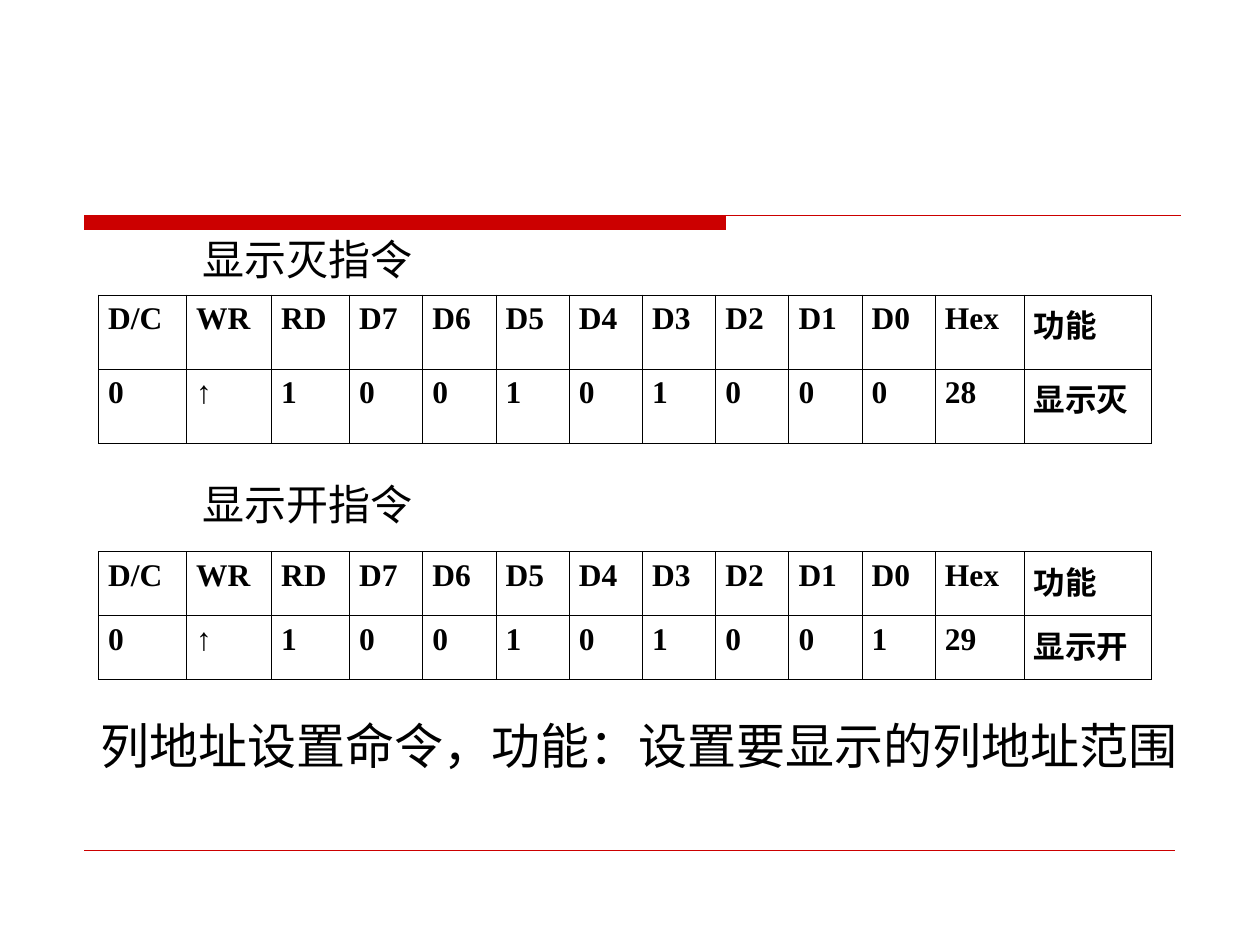
from lxml.etree import SubElement
from pptx import Presentation
from pptx.dml.color import RGBColor
from pptx.enum.shapes import MSO_CONNECTOR as CONNECTOR
from pptx.enum.text import PP_ALIGN as ALIGN
from pptx.oxml.ns import qn
from pptx.util import Pt

COLORS = {"accent": "CC0000", "ink": "000000"}
CJK, LATIN, SERIF = "Noto Sans CJK SC", "Arial", "Times New Roman"

FIELDS = ["D/C", "WR", "RD", *(f"D{bit}" for bit in range(7, -1, -1)), "Hex", "功能"]
FIELD_WIDTHS = [50.3, 48.6, 44.6, *[41.85] * 8, 50.9, 72.6]


def color(name):
    return RGBColor.from_string(COLORS[name])


def add_words(paragraph, words, size, font, bold=False):
    run = paragraph.add_run()
    run.text = words
    run.font.size = Pt(size)
    run.font.name = font
    run.font.bold = bold
    run.font.color.rgb = color("ink")
    SubElement(run.font._element, qn("a:ea"), typeface=CJK)


def add_rule(slide, left, top, width, weight):
    rule = slide.shapes.add_connector(
        CONNECTOR.STRAIGHT, Pt(left), Pt(top), Pt(left + width), Pt(top))
    rule.line.color.rgb = color("accent")
    rule.line.width = Pt(weight)
    SubElement(rule._element.spPr, qn("a:effectLst"))


def add_header_band(slide, left, top, width, height):
    bar_width = 0.585 * width
    outline = slide.shapes.build_freeform(Pt(left), Pt(top))
    outline.add_line_segments([
        (Pt(left + bar_width), Pt(top)),
        (Pt(left + bar_width), Pt(top + height)),
        (Pt(left), Pt(top + height)),
    ])
    bar = outline.convert_to_shape()
    bar.shadow.inherit = False
    bar.fill.solid()
    bar.fill.fore_color.rgb = color("accent")
    bar.line.fill.background()
    add_rule(slide, left, top, width, 0.75)


def add_sentence(slide, box, words, size, font, align=None, indent=0, before=0):
    frame = slide.shapes.add_textbox(*map(Pt, box)).text_frame
    frame.word_wrap = True
    line = frame.paragraphs[0]
    line.alignment = align
    line.space_before = Pt(before)
    line._p.get_or_add_pPr().set("indent", str(Pt(indent)))
    add_words(line, words, size, font)


def add_borders(cell):
    properties = cell._tc.get_or_add_tcPr()
    for side in ("lnL", "lnR", "lnT", "lnB"):
        border = SubElement(properties, qn(f"a:{side}"), w=str(Pt(0.45)))
        fill = SubElement(border, qn("a:solidFill"))
        SubElement(fill, qn("a:srgbClr"), val=COLORS["ink"])


def add_command_table(slide, left, top, height, values):
    rows = [FIELDS, values]
    table = slide.shapes.add_table(
        len(rows), len(FIELDS), Pt(left), Pt(top), Pt(sum(FIELD_WIDTHS)), Pt(height)).table
    table.first_row = table.horz_banding = False
    for column, width in zip(table.columns, FIELD_WIDTHS):
        column.width = Pt(width)
    for row, texts in zip(table.rows, rows):
        row.height = Pt(height / len(rows))
        for cell, words in zip(row.cells, texts):
            cell.margin_left = cell.margin_right = Pt(5.6)
            cell.margin_top = cell.margin_bottom = Pt(3.6)
            add_borders(cell)
            cell.fill.background()
            line = cell.text_frame.paragraphs[0]
            line.alignment = ALIGN.JUSTIFY
            add_words(line, words, 18, SERIF, bold=True)


def add_command(slide, heading_top, table_top, table_height, heading, values):
    add_sentence(slide, (45.4, heading_top, 635.8, 39.6), heading, 24, CJK,
                 ALIGN.JUSTIFY, indent=63.4, before=7.6)
    add_command_table(slide, 56.2, table_top, table_height, values)


def main():
    deck = Presentation()
    deck.slide_width, deck.slide_height = Pt(720), Pt(540)
    slide = deck.slides.add_slide(deck.slide_layouts[6])

    # Header band and footer rule
    add_header_band(slide, 48.2, 123.1, 626.4, 8.6)
    add_rule(slide, 48.2, 486, 623.5, 0.25)

    # Display off and display on commands
    add_command(slide, 129.6, 168.5, 84.6, "显示灭指令",
                ["0", "↑", "1", *"00101000", "28", "显示灭"])
    add_command(slide, 270, 315.2, 73.2, "显示开指令",
                ["0", "↑", "1", *"00101001", "29", "显示开"])

    # Column address command
    add_sentence(slide, (50.4, 405.4, 635.8, 39.6),
                 "列地址设置命令，功能：设置要显示的列地址范围", 28, LATIN)

    deck.save("out.pptx")


if __name__ == "__main__":
    main()
